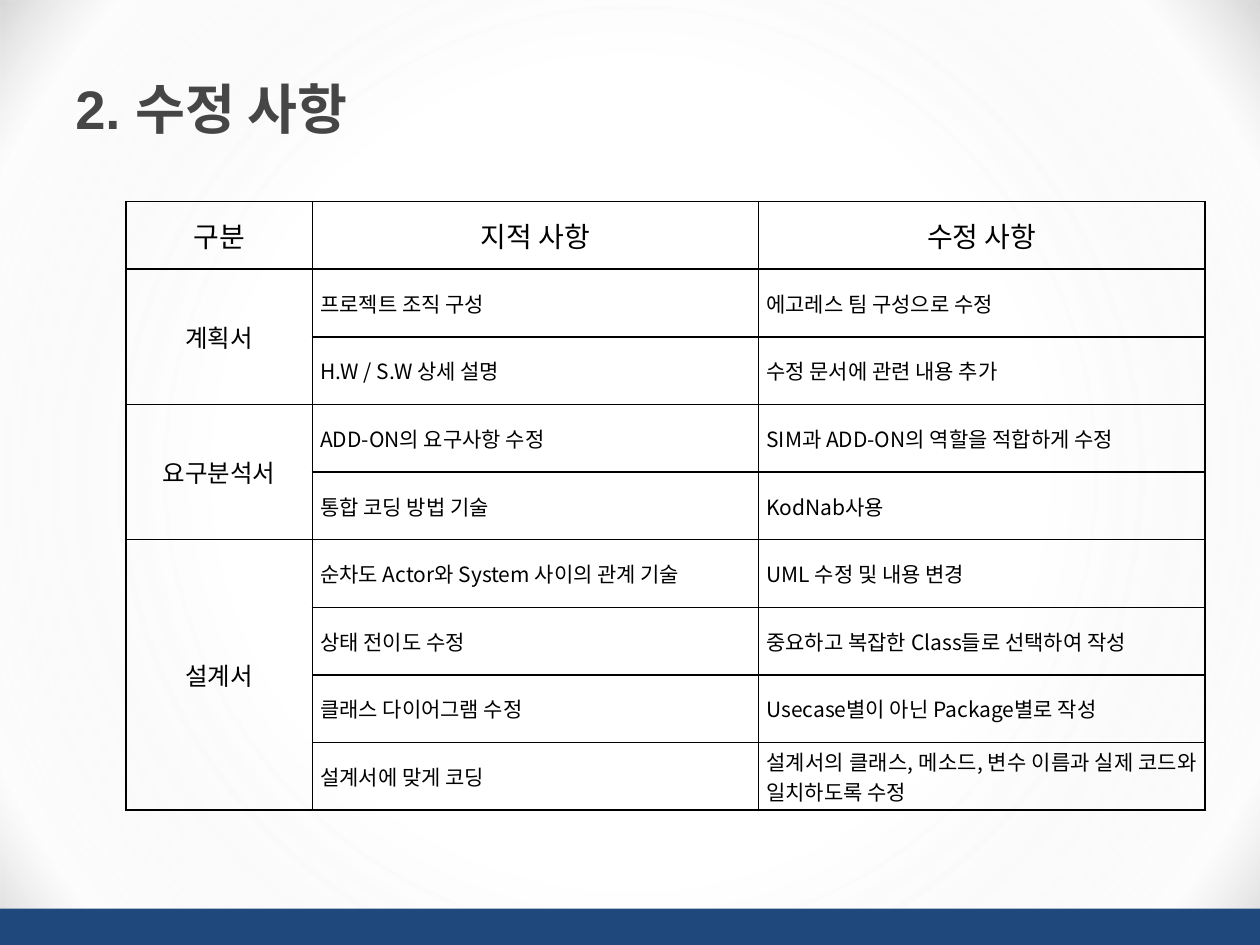
from lxml.etree import SubElement
from pptx import Presentation
from pptx.dml.color import RGBColor
from pptx.enum.shapes import MSO_SHAPE
from pptx.enum.text import MSO_ANCHOR, PP_ALIGN
from pptx.oxml import parse_xml
from pptx.oxml.ns import nsdecls, qn
from pptx.util import Pt

# Content
TITLE = "2. 수정 사항"
HEADINGS = ["구분", "지적 사항", "수정 사항"]
SECTIONS = [
    ("계획서", [
        ("프로젝트 조직 구성", "에고레스 팀 구성으로 수정"),
        ("H.W / S.W 상세 설명", "수정 문서에 관련 내용 추가"),
    ]),
    ("요구분석서", [
        ("ADD-ON의 요구사항 수정", "SIM과 ADD-ON의 역할을 적합하게 수정"),
        ("통합 코딩 방법 기술", "KodNab사용"),
    ]),
    ("설계서", [
        ("순차도 Actor와 System 사이의 관계 기술", "UML 수정 및 내용 변경"),
        ("상태 전이도 수정", "중요하고 복잡한 Class들로 선택하여 작성"),
        ("클래스 다이어그램 수정", "Usecase별이 아닌 Package별로 작성"),
        ("설계서에 맞게 코딩", "설계서의 클래스, 메소드, 변수 이름과 실제 코드와 일치하도록 수정"),
    ]),
]

THEME = {
    "title_font": "Arial", "korean_font": "Noto Sans CJK KR",
    "title": "464646", "text": "000000", "line": "000000", "bar": "1F497D",
    "title_size": 31, "heading_size": 16, "section_size": 14, "item_size": 12,
    # Position, colour and opacity, all positions in percent
    "glow": [(52, "FFFFFF", 100), (88, "F2F2F2", 16), (100, "595959", 25)],
}
PAGE_WIDTH, PAGE_HEIGHT = 720, 540
BAR_HEIGHT = 20.8
TABLE_LEFT, TABLE_TOP = 72, 115.2
COLUMN_WIDTHS = [106.5, 255, 255]
ROW_HEIGHT = 38.64


def style_paragraph(para, size, colour, latin, bold=False):
    font = para.font
    font.size, font.bold, font.name = Pt(size), bold, latin
    font.color.rgb = RGBColor.from_string(colour)
    latin_element = para._p.pPr.find(qn("a:defRPr")).find(qn("a:latin"))
    latin_element.addnext(parse_xml(
        f'<a:ea {nsdecls("a")} typeface="{THEME["korean_font"]}"/>'))


def add_band(page, top, height):
    band = page.shapes.add_shape(MSO_SHAPE.RECTANGLE, 0, Pt(top), Pt(PAGE_WIDTH), Pt(height))
    band.shadow.inherit = False
    band.line.fill.background()
    band.fill.solid()
    band.fill.fore_color.rgb = RGBColor.from_string(THEME["bar"])
    return band


def apply_glow(shape):
    stops = "".join(
        f'<a:gs pos="{position * 1000}"><a:srgbClr val="{colour}">'
        f'<a:alpha val="{opacity * 1000}"/></a:srgbClr></a:gs>'
        for position, colour, opacity in THEME["glow"])
    gradient = parse_xml(
        f'<a:gradFill {nsdecls("a")} rotWithShape="1"><a:gsLst>{stops}</a:gsLst>'
        '<a:path path="circle"><a:fillToRect l="50000" t="50000" r="50000" b="50000"/>'
        '</a:path></a:gradFill>')
    properties = shape._element.spPr
    properties.replace(properties.find(qn("a:solidFill")), gradient)


def format_cell(cell):
    cell.margin_left = cell.margin_right = Pt(4.5)
    cell.margin_top = cell.margin_bottom = 0
    cell.vertical_anchor = MSO_ANCHOR.MIDDLE
    properties = cell._tc.get_or_add_tcPr()
    for side in ("lnL", "lnR", "lnT", "lnB"):
        border = SubElement(properties, qn(f"a:{side}"), w=str(Pt(1)))
        fill = SubElement(border, qn("a:solidFill"))
        SubElement(fill, qn("a:srgbClr"), val=THEME["line"])
    cell.fill.background()


def write_cell(cell, text, size, align):
    para = cell.text_frame.paragraphs[0]
    para.text = text
    para.alignment = align
    style_paragraph(para, size, THEME["text"], THEME["korean_font"])


def add_review_table(page):
    row_count = 1 + sum(len(items) for _, items in SECTIONS)
    frame = page.shapes.add_table(
        row_count, len(COLUMN_WIDTHS), Pt(TABLE_LEFT), Pt(TABLE_TOP),
        Pt(sum(COLUMN_WIDTHS)), Pt(row_count * ROW_HEIGHT))
    table = frame.table
    table.first_row = table.horz_banding = False
    for column, width in zip(table.columns, COLUMN_WIDTHS):
        column.width = Pt(width)
    for row in table.rows:
        row.height = Pt(ROW_HEIGHT)
    for cell in table.iter_cells():
        format_cell(cell)

    for column, heading in enumerate(HEADINGS):
        write_cell(table.cell(0, column), heading, THEME["heading_size"], PP_ALIGN.CENTER)
    first = 1
    for section, items in SECTIONS:
        section_cell = table.cell(first, 0)
        section_cell.merge(table.cell(first + len(items) - 1, 0))
        write_cell(section_cell, section, THEME["section_size"], PP_ALIGN.CENTER)
        for row, item in enumerate(items, first):
            for column, text in enumerate(item, 1):
                write_cell(table.cell(row, column), text, THEME["item_size"], PP_ALIGN.JUSTIFY)
        first += len(items)


def add_title(page):
    box = page.shapes.add_textbox(Pt(36), Pt(26), Pt(648), Pt(49.5))
    box.text_frame.word_wrap = True
    box.text_frame.vertical_anchor = MSO_ANCHOR.MIDDLE
    para = box.text_frame.paragraphs[0]
    para.text = TITLE
    para.line_spacing = 1.6
    style_paragraph(para, THEME["title_size"], THEME["title"], THEME["title_font"], bold=True)


def main():
    deck = Presentation()
    deck.slide_width, deck.slide_height = Pt(PAGE_WIDTH), Pt(PAGE_HEIGHT)
    page = deck.slides.add_slide(deck.slide_layouts[6])
    # Background glow and bottom bar
    apply_glow(add_band(page, 0, PAGE_HEIGHT))
    add_band(page, PAGE_HEIGHT - BAR_HEIGHT, BAR_HEIGHT)
    # Table and title
    add_review_table(page)
    add_title(page)
    deck.save("out.pptx")


if __name__ == "__main__":
    main()
